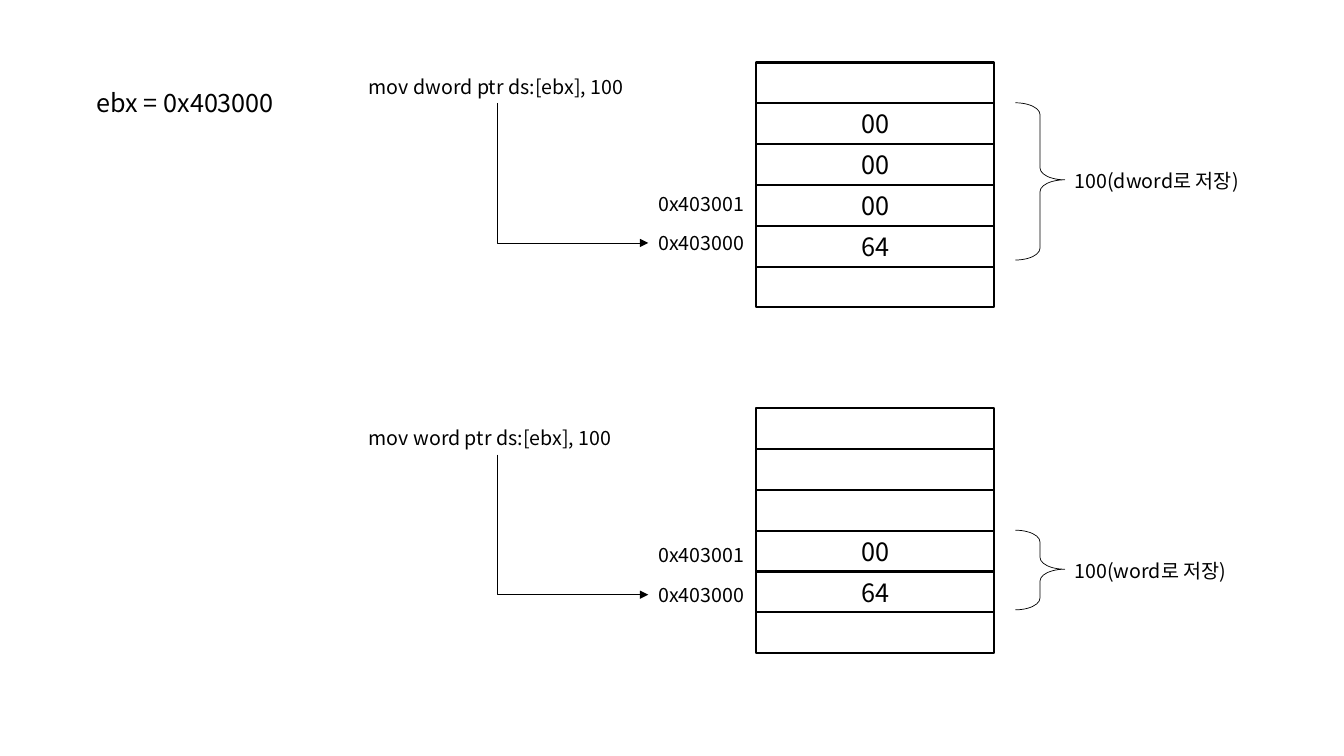
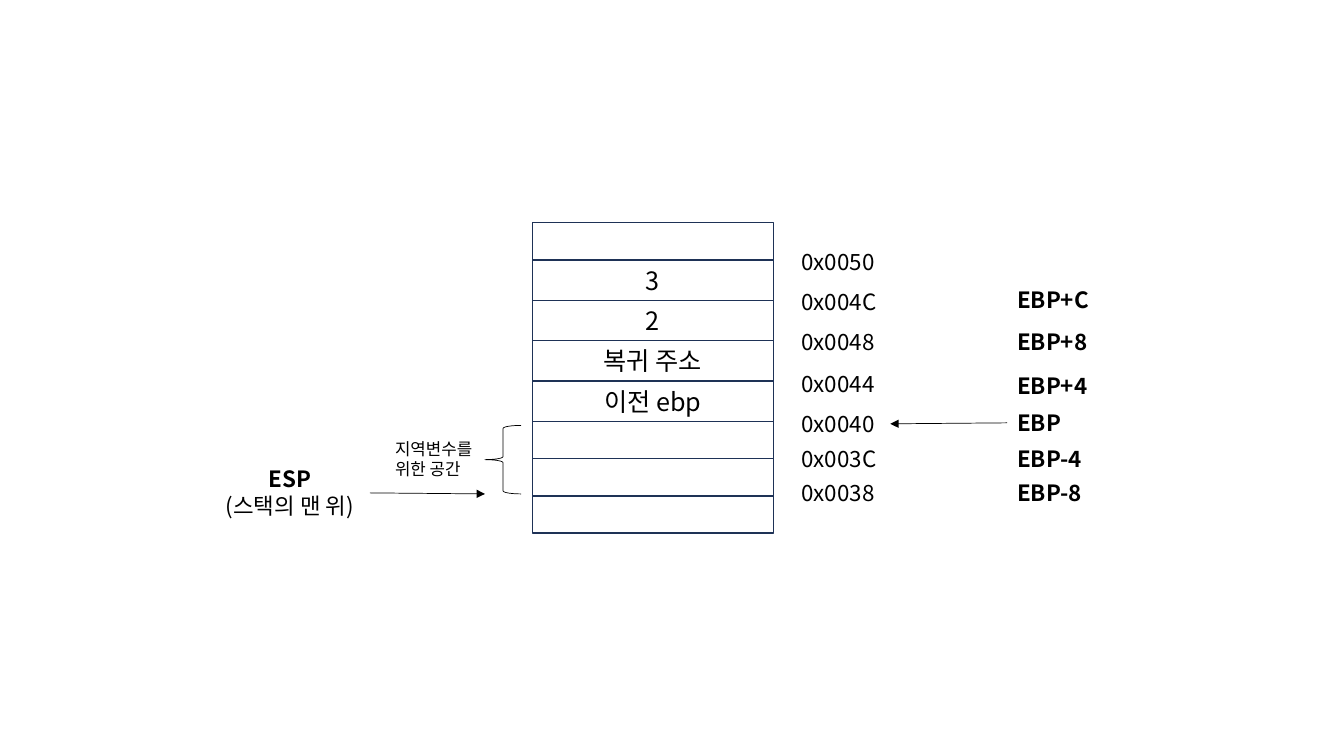
import dataclasses
import typing

import lxml.etree
import pptx
import pptx.dml.color
import pptx.enum.shapes
import pptx.enum.text
import pptx.oxml.ns
import pptx.util

Inches = pptx.util.Inches
Pt = pptx.util.Pt
qn = pptx.oxml.ns.qn
Align = pptx.enum.text.PP_ALIGN
Anchor = pptx.enum.text.MSO_ANCHOR
Shapes = pptx.enum.shapes.MSO_SHAPE
Connectors = pptx.enum.shapes.MSO_CONNECTOR


# Shared look
@dataclasses.dataclass(frozen=True)
class Theme:
    font: str = "Noto Sans CJK KR"
    ink: str = "000000"
    navy: str = "1E3256"
    large: int = 18
    medium: int = 16
    normal: int = 14
    small: int = 12
    thin: float = 0.5


THEME = Theme()


class Area(typing.NamedTuple):
    left: float
    top: float
    width: float
    height: float

    def lengths(self) -> list:
        return [Inches(value) for value in self]


class Cell(typing.NamedTuple):
    text: str
    height: float


class Store(typing.NamedTuple):
    """One mov instruction and the memory it writes."""
    instruction: str
    instruction_top: float
    stack_top: float
    cells: tuple
    address_tops: tuple
    brace_top: float
    brace_height: float
    note: str
    note_top: float


class Slot(typing.NamedTuple):
    """One stack address and its place relative to EBP."""
    address: str
    top: float
    label: str = ""
    label_top: float = 0


# Drawing functions
def color(code: str) -> pptx.dml.color.RGBColor:
    return pptx.dml.color.RGBColor.from_string(code)


def write(box, text: str, *, size: int, align=Align.LEFT, anchor=Anchor.TOP,
          bold_first: bool = False) -> None:
    frame = box.text_frame
    frame.word_wrap = True
    frame.vertical_anchor = anchor
    for index, line in enumerate(text.split("\n")):
        para = frame.paragraphs[0] if index == 0 else frame.add_paragraph()
        para.alignment = align
        span = para.add_run()
        span.text = line
        span.font.size = Pt(size)
        span.font.bold = bold_first and index == 0
        span.font.color.rgb = color(THEME.ink)
        span.font.name = THEME.font
        east_asian = lxml.etree.SubElement(span.font._element, qn("a:ea"))
        east_asian.set("typeface", THEME.font)


def add_text(page, area: Area, text: str, **text_format):
    box = page.shapes.add_textbox(*area.lengths())
    write(box, text, **text_format)
    return box


def add_outline(page, kind, area: Area, line_color: str, line_width: float):
    shape = page.shapes.add_shape(kind, *area.lengths())
    shape.shadow.inherit = False
    shape.fill.background()
    shape.line.color.rgb = color(line_color)
    shape.line.width = Pt(line_width)
    return shape


def add_brace(page, kind, area: Area, adjustments: tuple = ()) -> None:
    brace = add_outline(page, kind, area, THEME.ink, THEME.thin)
    for index, value in enumerate(adjustments):
        brace.adjustments[index] = value


def add_stack(page, left: float, top: float, width: float, cells: typing.Iterable,
              line_color: str, line_width: float) -> None:
    for cell in cells:
        area = Area(left, top, width, cell.height)
        box = add_outline(page, Shapes.RECTANGLE, area, line_color, line_width)
        if cell.text:
            write(box, cell.text, size=THEME.large, align=Align.CENTER, anchor=Anchor.MIDDLE)
        top += cell.height


def add_arrow(page, start: tuple, end: tuple, kind=Connectors.STRAIGHT):
    points = [Inches(value) for value in (*start, *end)]
    arrow = page.shapes.add_connector(kind, *points)
    arrow.line.color.rgb = color(THEME.ink)
    arrow.line.width = Pt(THEME.thin)
    head = lxml.etree.SubElement(arrow.line._get_or_add_ln(), qn("a:tailEnd"))
    head.set("type", "triangle")
    lxml.etree.SubElement(arrow._element.spPr, qn("a:effectLst"))
    return arrow


def add_corner_arrow(page, start: tuple, end: tuple) -> None:
    """Arrow that goes down and then right: a mirrored corner turned by 270 degrees."""
    across, down = end[0] - start[0], end[1] - start[1]
    middle_x, middle_y = start[0] + across / 2, start[1] + down / 2
    arrow = add_arrow(page, (middle_x + down / 2, middle_y - across / 2),
                      (middle_x - down / 2, middle_y + across / 2), Connectors.ELBOW)
    properties = arrow._element.spPr
    properties.find(qn("a:xfrm")).set("rot", str(270 * 60000))
    properties.find(qn("a:prstGeom")).set("prst", "bentConnector2")


# Slide 1: storing a dword and a word
STORE_HEIGHT = 2.43
STORES = (
    Store("mov dword ptr ds:[ebx], 100", 0.69, 0.62, ("", "00", "00", "00", "64", ""),
          (1.85, 2.24), 1.02, 1.56, "100(dword로 저장)", 1.63),
    Store("mov word ptr ds:[ebx], 100", 4.18, 4.05, ("", "", "", "00", "64", ""),
          (5.34, 5.73), 5.26, 0.79, "100(word로 저장)", 5.5),
)


def draw_store(page, store: Store) -> None:
    row_height = STORE_HEIGHT / len(store.cells)
    cells = [Cell(text, row_height) for text in store.cells]
    add_stack(page, 7.5, store.stack_top, 2.36, cells, THEME.ink, 1.5)
    add_text(page, Area(3.56, store.instruction_top, 2.74, 0.34), store.instruction,
             size=THEME.normal)
    for address, top in zip(("0x403001", "0x403000"), store.address_tops):
        add_text(page, Area(6.43, top, 1.07, 0.34), address, size=THEME.normal)
    add_corner_arrow(page, (4.93, store.instruction_top + 0.33),
                     (6.43, store.address_tops[-1] + 0.17))
    add_brace(page, Shapes.RIGHT_BRACE, Area(10.07, store.brace_top, 0.49, store.brace_height),
              (0.24, 0.49))
    add_text(page, Area(10.56, store.note_top, 1.92, 0.34), store.note, size=THEME.normal)


def draw_memory_page(page) -> None:
    add_text(page, Area(0.86, 0.82, 2.48, 0.4), "ebx = 0x403000", size=THEME.large)
    for store in STORES:
        draw_store(page, store)


# Slide 2: stack frame around EBP
FRAME_CELLS = ("", "3", "2", "복귀 주소", "이전 ebp", "", "", "")
SLOTS = (
    Slot("0x0050", 2.41),
    Slot("0x004C", 2.81, "EBP+C", 2.79),
    Slot("0x0048", 3.21, "EBP+8", 3.21),
    Slot("0x0044", 3.62, "EBP+4", 3.64),
    Slot("0x0040", 4.02, "EBP", 4.01),
    Slot("0x003C", 4.37, "EBP-4", 4.37),
    Slot("0x0038", 4.7, "EBP-8", 4.7),
)


def draw_frame_page(page) -> None:
    cells = [Cell(text, 0.4 if text else 0.37) for text in FRAME_CELLS]
    add_stack(page, 5.28, 2.21, 2.39, cells, THEME.navy, 1)

    # Addresses and offsets
    for slot in SLOTS:
        address = add_text(page, Area(7.85, slot.top, 0.98, 0.37), slot.address,
                           size=THEME.medium)
        if not slot.label:
            continue
        label = add_text(page, Area(9.99, slot.label_top, 1.24, 0.37), slot.label,
                         size=THEME.medium, bold_first=True)
        if slot.label == "EBP":
            pointer = add_arrow(page, (9.99, 4.2), (8.83, 4.2))
            pointer.begin_connect(label, 1)
            pointer.end_connect(address, 3)

    # Top of the stack and local variables
    stack_pointer = add_text(page, Area(2.08, 4.57, 1.59, 0.64), "ESP\n(스택의 맨 위)",
                             size=THEME.medium, align=Align.CENTER, bold_first=True)
    pointer = add_arrow(page, (3.67, 4.9), (4.81, 4.9))
    pointer.begin_connect(stack_pointer, 3)
    add_brace(page, Shapes.LEFT_BRACE, Area(4.81, 4.22, 0.36, 0.68))
    add_text(page, Area(3.82, 4.3, 1.1, 0.5), "지역변수를\n위한 공간", size=THEME.small)


def main() -> None:
    deck = pptx.Presentation()
    deck.slide_width, deck.slide_height = Inches(13.33), Inches(7.5)
    for draw in (draw_memory_page, draw_frame_page):
        draw(deck.slides.add_slide(deck.slide_layouts[6]))
    deck.save("out.pptx")


if __name__ == "__main__":
    main()
